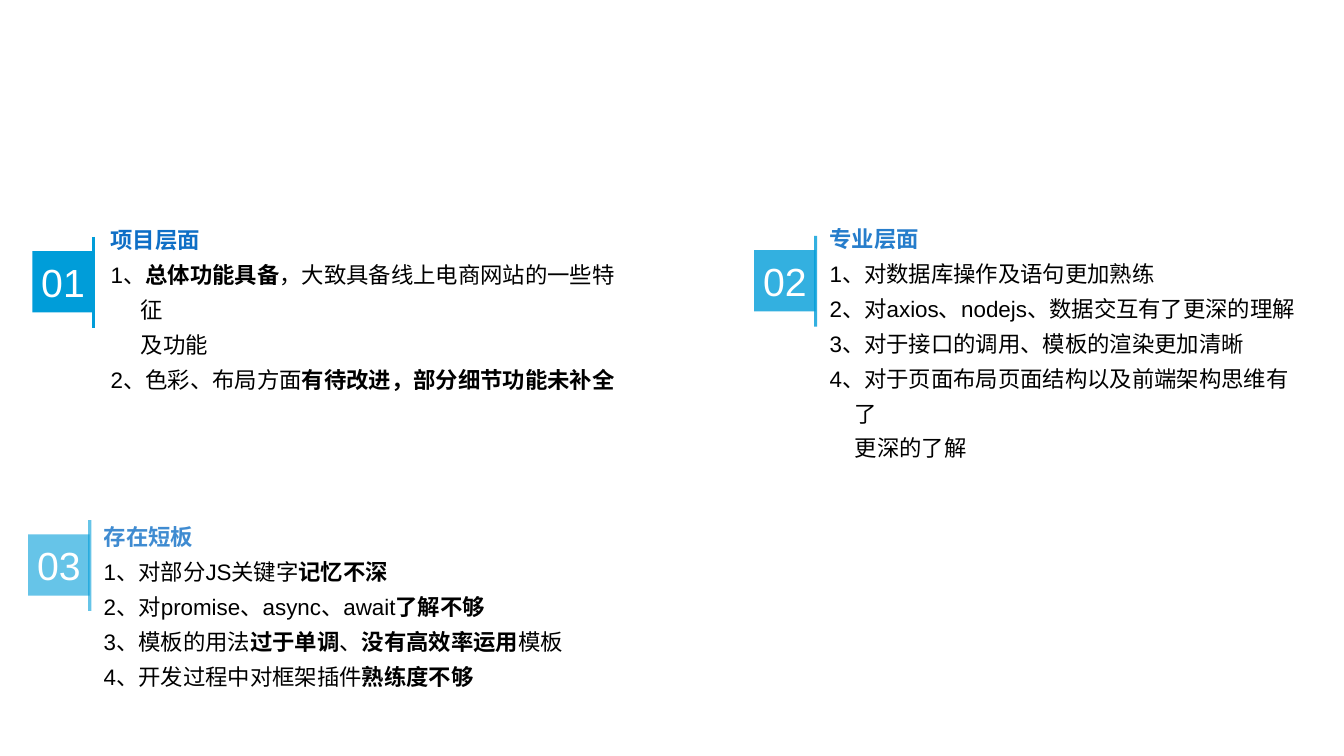
from lxml import etree
from pptx import Presentation
from pptx.dml.color import RGBColor
from pptx.enum import shapes, text
from pptx.oxml.ns import qn
from pptx.util import Inches, Pt

# Content: *bold* parts, a new line continues the item under its hanging indent.
# Places are percent of the slide's width and height; box is left, top, width, height.
BLOCKS = [
    dict(num="01", title="项目层面", badge=(2.4, 33.2), box=(7.5, 23.6, 39.76, 33.6),
         fill=100, ink=100, hang=0.3, items=[
             "1、*总体功能具备*，大致具备线上电商网站的一些特征\n及功能",
             "2、色彩、布局方面*有待改进，部分细节功能未补全*"]),
    dict(num="02", title="专业层面", badge=(56.11, 33.07), box=(60.99, 31.33, 37.06, 27.07),
         fill=80, ink=90, hang=0.25, items=[
             "1、对数据库操作及语句更加熟练",
             "2、对axios、nodejs、数据交互有了更深的理解",
             "3、对于接口的调用、模板的渲染更加清晰",
             "4、对于页面布局页面结构以及前端架构思维有了\n更深的了解"]),
    dict(num="03", title="存在短板", badge=(2.1, 70.67), box=(6.98, 66.8, 45.84, 25.73),
         fill=60, ink=80, hang=0.3, items=[
             "1、对部分JS关键字*记忆不深*",
             "2、对promise、async、await*了解不够*",
             "3、模板的用法*过于单调*、*没有高效率运用*模板",
             "4、开发过程中对框架插件*熟练度不够*"]),
]
CYAN = RGBColor(0x00, 0x9D, 0xD9)
BLUE = RGBColor(0x0F, 0x6F, 0xC6)
BLACK = RGBColor(0, 0, 0)
WHITE = RGBColor(255, 255, 255)

deck = Presentation()
deck.slide_width, deck.slide_height = Inches(13.33), Inches(7.5)
slide = deck.slides.add_slide(deck.slide_layouts[6])
SIDE, RISE, BAR = Inches(0.61), Inches(0.14), Inches(0.9)


def across(share):
    return round(deck.slide_width * share / 100)


def down(share):
    return round(deck.slide_height * share / 100)


def paint(fill, color, alpha=100):
    fill.solid()
    fill.fore_color.rgb = color
    if alpha < 100:
        for tone in fill._xPr.iter(qn("a:srgbClr")):
            etree.SubElement(tone, qn("a:alpha")).set("val", str(alpha * 1000))


def write(para, words, size=16, color=BLACK, alpha=100, bold=False, hang=0,
          align=text.PP_ALIGN.LEFT, space=None):
    """Fill a paragraph; asterisks switch bold on and off."""
    para.alignment, para.line_spacing = align, space
    if hang:
        para._p.get_or_add_pPr().set("marL", str(Inches(hang)))
        para._p.get_or_add_pPr().set("indent", str(-Inches(hang)))
    for i, part in enumerate(words.split("*")):
        for j, line in enumerate(part.split("\n")):
            if j:
                para.add_line_break()
            if line:
                run = para.add_run()
                run.text = line
                font = run.font
                font.name, font.size, font.bold = "Arial", Pt(size), bold or i % 2 == 1
                paint(font.fill, color, alpha)


def badge(left, top, num, alpha):
    # Numbered square
    box = slide.shapes.add_shape(shapes.MSO_SHAPE.RECTANGLE, left, top, SIDE, SIDE)
    box.shadow.inherit = False
    box.line.fill.background()
    paint(box.fill, CYAN, alpha)
    frame = box.text_frame
    frame.word_wrap = False
    frame.vertical_anchor = text.MSO_ANCHOR.MIDDLE
    write(frame.paragraphs[0], num, size=28, color=WHITE, align=text.PP_ALIGN.CENTER)

    # Bar along its right edge
    x, y = left + SIDE, top - RISE
    bar = slide.shapes.add_connector(shapes.MSO_CONNECTOR.STRAIGHT, x, y, x, y + BAR)
    bar.line.width = Pt(2.25)
    paint(bar.line.fill, CYAN, alpha)
    etree.SubElement(bar._element.spPr, qn("a:effectLst"))


for block in BLOCKS:
    x, y = block["badge"]
    badge(across(x), down(y), block["num"], block["fill"])

    # Heading and numbered points
    x, y, w, h = block["box"]
    frame = slide.shapes.add_textbox(across(x), down(y), across(w), down(h)).text_frame
    frame.word_wrap = False
    frame.vertical_anchor = text.MSO_ANCHOR.MIDDLE
    write(frame.paragraphs[0], block["title"], color=BLUE, alpha=block["ink"],
          bold=True, space=1.3)
    for item in block["items"]:
        write(frame.add_paragraph(), item, hang=block["hang"], space=1.3)

deck.save("out.pptx")
